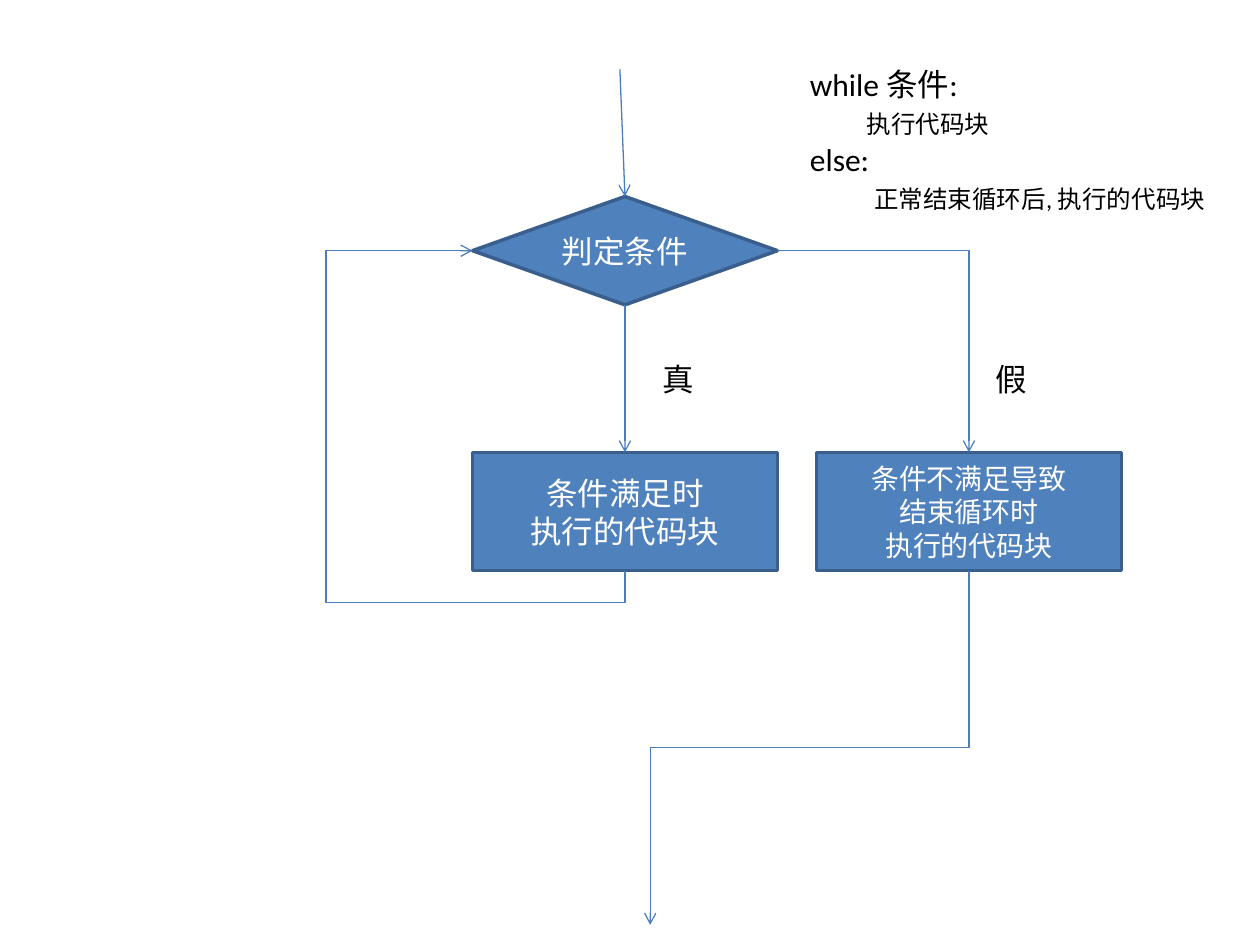
from pptx import Presentation
from pptx.dml.color import RGBColor
from pptx.enum.shapes import MSO_CONNECTOR, MSO_SHAPE
from pptx.enum.text import MSO_ANCHOR, PP_ALIGN
from pptx.oxml.ns import qn
from pptx.util import Inches, Pt
from lxml import etree

DIAMOND, RECT = MSO_SHAPE.DIAMOND, MSO_SHAPE.RECTANGLE
STRAIGHT, ELBOW = MSO_CONNECTOR.STRAIGHT, MSO_CONNECTOR.ELBOW
CENTER, MIDDLE = PP_ALIGN.CENTER, MSO_ANCHOR.MIDDLE

FILL = RGBColor(0x4F, 0x81, 0xBD)
BORDER = RGBColor(0x3A, 0x5F, 0x8C)
ARROW = RGBColor(0x4B, 0x7E, 0xBC)
WHITE = RGBColor(0xFF, 0xFF, 0xFF)
BLACK = RGBColor(0, 0, 0)
FONT = "Calibri"

NODE_W, ACTION_H = 2.42, 0.94


def style_paragraph(paragraph, size, color):
    for run in paragraph.runs:
        run.font.name = FONT
        run.font.size = Pt(size)
        run.font.color.rgb = color


def add_node(slide, kind, box, text, size):
    node = slide.shapes.add_shape(kind, *map(Inches, box))
    node.shadow.inherit = False
    node.fill.solid()
    node.fill.fore_color.rgb = FILL
    node.line.color.rgb = BORDER
    node.line.width = Pt(2)
    frame = node.text_frame
    frame.text = text
    frame.vertical_anchor = MIDDLE
    for paragraph in frame.paragraphs:
        paragraph.alignment = CENTER
        style_paragraph(paragraph, size, WHITE)


def add_text(slide, box, text, wrap):
    frame = slide.shapes.add_textbox(*map(Inches, box)).text_frame
    frame.word_wrap = wrap
    frame.text = text
    for paragraph in frame.paragraphs:
        style_paragraph(paragraph, 18, BLACK)
    return frame


def add_arrow(slide, kind, start, end):
    arrow = slide.shapes.add_connector(kind, *map(Inches, start + end))
    arrow.line.color.rgb = ARROW
    arrow.line.width = Pt(0.75)
    etree.SubElement(arrow.line._get_or_add_ln(), qn("a:tailEnd"), type="arrow")
    etree.SubElement(arrow._element.spPr, qn("a:effectLst"))
    return arrow


def add_elbow(slide, start, end, preset, quarter_turn=False, adjust=()):
    """Bent arrow; with quarter_turn it leaves its start vertically."""
    (x1, y1), (x2, y2) = start, end
    if quarter_turn:
        # Lay the box on its side around the same centre, then turn it 90 degrees
        cx, cy = (x1 + x2) / 2, (y1 + y2) / 2
        along, across = (y2 - y1) / 2, (x1 - x2) / 2
        start, end = (cx - along, cy - across), (cx + along, cy + across)
    arrow = add_arrow(slide, ELBOW, start, end)
    if quarter_turn:
        arrow._element.spPr.find(qn("a:xfrm")).set("rot", str(90 * 60000))
    geometry = arrow._element.spPr.find(qn("a:prstGeom"))
    geometry.set("prst", preset)
    guides = geometry.find(qn("a:avLst"))
    for number, share in enumerate(adjust, 1):
        etree.SubElement(guides, qn("a:gd"), name=f"adj{number}",
                         fmla=f"val {round(share * 100000)}")


def add_flowchart(slide, left, top):
    decision_y, action_y = top + 1.01, top + 3.04
    decision_h = 0.86
    false_left = left + 2.73
    true_x, false_x = left + NODE_W / 2, false_left + NODE_W / 2
    middle_y = decision_y + decision_h / 2
    action_bottom = action_y + ACTION_H

    # Condition and the two code blocks
    add_node(slide, DIAMOND, (left, decision_y, NODE_W, decision_h), "判定条件", 18)
    add_node(slide, RECT, (left, action_y, NODE_W, ACTION_H),
             "条件满足时\n执行的代码块", 18)
    add_node(slide, RECT, (false_left, action_y, NODE_W, ACTION_H),
             "条件不满足导致\n结束循环时\n执行的代码块", 16)

    # Entry and true branch
    add_arrow(slide, STRAIGHT, (true_x - 0.04, top), (true_x, decision_y))
    add_arrow(slide, STRAIGHT, (true_x, decision_y + decision_h), (true_x, action_y))

    # Loop back, false branch and exit
    add_elbow(slide, (true_x, action_bottom), (left, middle_y),
              "bentConnector4", True, (-0.1, 1.96))
    add_elbow(slide, (left + NODE_W, middle_y), (false_x, action_y), "bentConnector2")
    add_elbow(slide, (false_x, action_bottom), (true_x + 0.2, top + 6.79),
              "bentConnector3", True, (0.5,))

    # Branch labels
    for branch_x, label in ((true_x + 0.2, "真"), (false_x + 0.11, "假")):
        add_text(slide, (branch_x, top + 2.26, 0.45, 0.4), label, False)


def add_syntax(slide, box):
    syntax = add_text(slide, box, "while 条件:\n执行代码块\nelse:\n"
                      "正常结束循环后, 执行的代码块", True)
    # Indented bodies under "while" and "else"
    for body, indent in zip(syntax.paragraphs[1::2], (0.45, 0.51)):
        style_paragraph(body, 14, BLACK)
        body.space_before = Pt(3.5)
        body.space_after = Pt(1)
        properties = body._p.get_or_add_pPr()
        properties.set("marL", "0")
        properties.set("indent", str(Inches(indent)))


def main():
    prs = Presentation()
    prs.slide_width, prs.slide_height = Inches(10), Inches(7.5)
    slide = prs.slides.add_slide(prs.slide_layouts[6])
    add_flowchart(slide, 3.75, 0.55)
    add_syntax(slide, (6.33, 0.47, 3.37, 1.31))
    prs.save("out.pptx")


if __name__ == "__main__":
    main()
